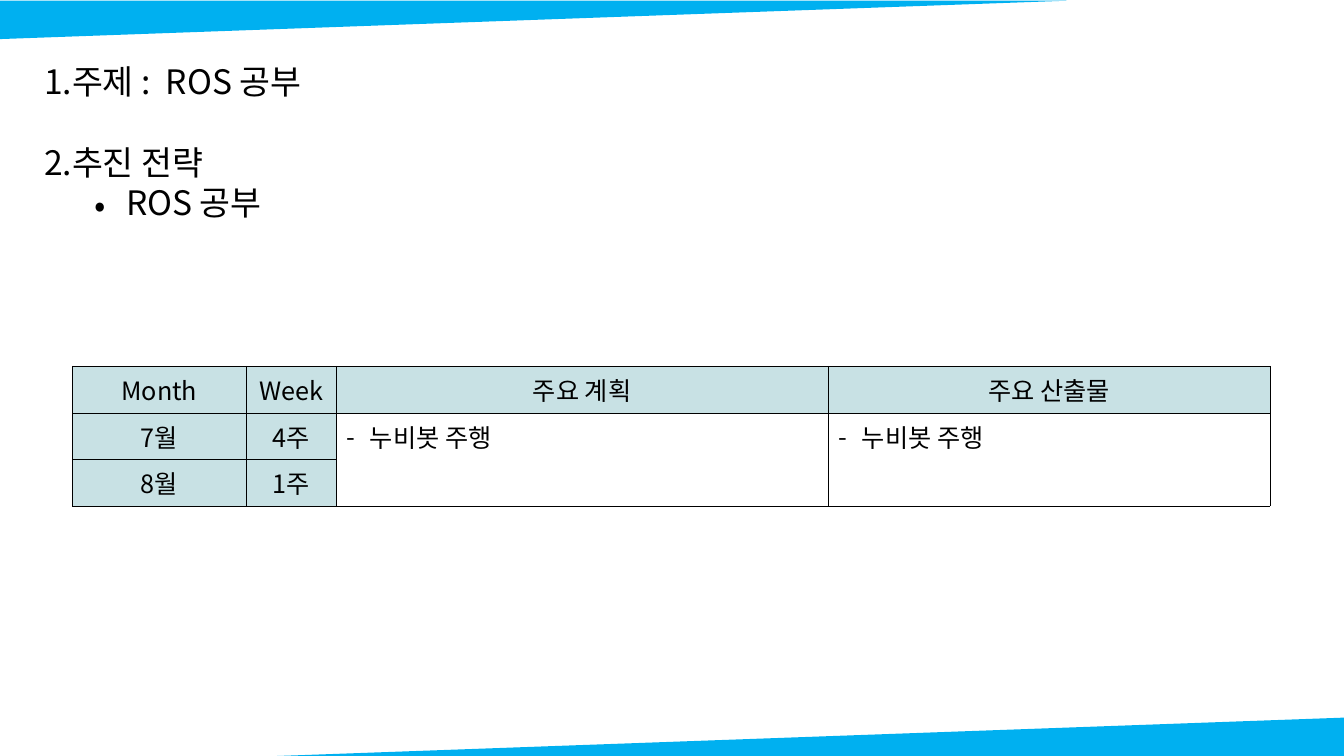
from lxml.etree import SubElement as Sub
from pptx import Presentation
from pptx.dml.color import RGBColor as RGB
from pptx.enum.shapes import MSO_SHAPE as SHAPE
from pptx.enum.text import PP_ALIGN as ALIGN
from pptx.oxml.ns import qn
from pptx.util import Pt

FONT = "Noto Sans CJK KR"
COLORS = {"band": "00B0F0", "head": "C8E1E4", "body": "FFFFFF", "ink": "000000"}
WIDE, HIGH = 960, 540


def paint(fill, name):
    fill.solid()
    fill.fore_color.rgb = RGB.from_string(COLORS[name])


def style(para, size):
    for run in para.runs:
        run.font.size = Pt(size)
        run.font.name = FONT
        run.font.color.rgb = RGB.from_string(COLORS["ink"])
        Sub(run.font._element, qn("a:ea"), typeface=FONT)


def bullet(para, left, hang, kind, **mark):
    props = para._p.get_or_add_pPr()
    props.set("marL", str(Pt(left)))
    props.set("indent", str(Pt(-hang)))
    tint = Sub(props, qn("a:buClr"))
    Sub(tint, qn("a:srgbClr"), val=COLORS["ink"])
    Sub(props, qn("a:buFont"), typeface=FONT)
    Sub(props, qn(kind), **mark)


def border(cell):
    props = cell._tc.get_or_add_tcPr()
    for side in ("L", "R", "T", "B"):
        line = Sub(props, qn(f"a:ln{side}"), w=str(Pt(0.06)))
        fill = Sub(line, qn("a:solidFill"))
        Sub(fill, qn("a:srgbClr"), val=COLORS["ink"])


# Slanted edge band: a right triangle turned to lie along the box
def band(slide, box, turn):
    x, y, w, h = box
    wedge = slide.shapes.add_shape(
        SHAPE.RIGHT_TRIANGLE, Pt(x + (w - h) / 2), Pt(y + (h - w) / 2), Pt(h), Pt(w))
    wedge.rotation = turn
    wedge.shadow.inherit = False
    paint(wedge.fill, "band")
    wedge.line.fill.background()


# Topic and strategy outline
def outline(slide, box):
    frame = slide.shapes.add_textbox(*map(Pt, box)).text_frame
    frame.word_wrap = True
    items = [("주제 :  ROS 공부", 0, 0), ("추진 전략", 0, 28.8), ("ROS 공부", 1, 0)]
    for i, (text, level, gap) in enumerate(items):
        para = frame.add_paragraph() if i else frame.paragraphs[0]
        para.text = text
        para.level = level
        para.line_spacing = Pt(28.8)
        para.space_before = Pt(gap)
        if level:
            bullet(para, 58.5, 22.5, "a:buChar", char="•")
        else:
            bullet(para, 16, 16, "a:buAutoNum", type="arabicPeriod")
        style(para, 24)


# Schedule table
def plan(slide, box):
    rows = [("Month", "Week", "주요 계획", "주요 산출물"),
            ("7월", "4주", "누비봇 주행", "누비봇 주행"),
            ("8월", "1주", "", "")]
    shares = (0.145, 0.075, 0.411, 0.369)
    grid = slide.shapes.add_table(len(rows), len(shares), *map(Pt, box)).table
    for col, share in zip(grid.columns, shares):
        col.width = Pt(box[2] * share)
    for r, row in enumerate(rows):
        for c, text in enumerate(row):
            cell = grid.cell(r, c)
            border(cell)
            head = r == 0 or c < 2
            paint(cell.fill, "head" if head else "body")
            para = cell.text_frame.paragraphs[0]
            para.text = text
            if head:
                para.alignment = ALIGN.CENTER
            elif text:
                bullet(para, 17, 16.5, "a:buChar", char="-")
            style(para, 18)
    for c in (2, 3):
        grid.cell(1, c).merge(grid.cell(2, c))


deck = Presentation()
deck.slide_width, deck.slide_height = Pt(WIDE), Pt(HIGH)
page = deck.slides.add_slide(deck.slide_layouts[6])
long, thick = 762, 27.4
band(page, (0, 0.5, long, thick), 90)
band(page, (WIDE - long, HIGH - thick, long, thick), 270)
plan(page, (51.8, 261.4, 855.4, 100.2))
outline(page, (24.5, 40.3, 905, 122.4))
deck.save("out.pptx")
